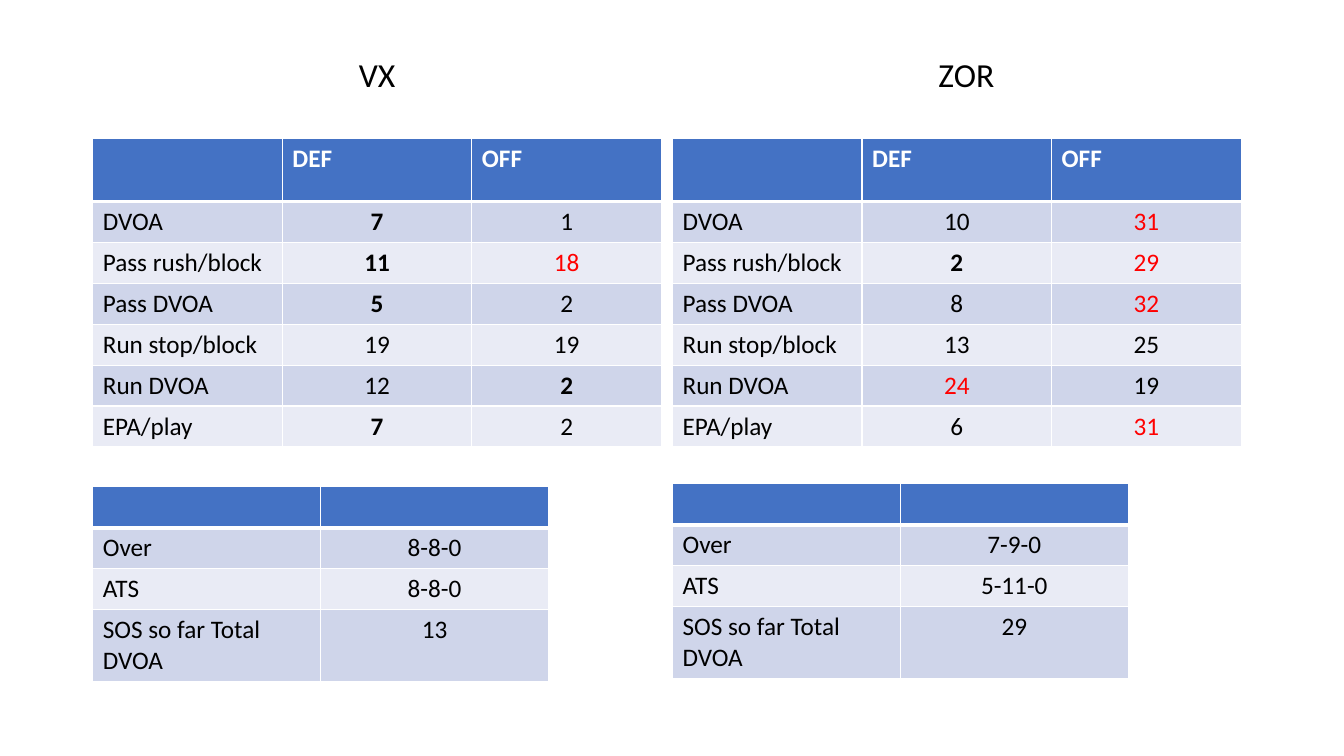
from lxml import etree
from pptx import Presentation
from pptx.dml.color import RGBColor
from pptx.enum.text import MSO_ANCHOR, PP_ALIGN
from pptx.oxml.ns import qn
from pptx.util import Inches, Pt

LEFT, CENTER = PP_ALIGN.LEFT, PP_ALIGN.CENTER
BOTTOM = MSO_ANCHOR.BOTTOM
FONT = "Calibri"
COLORS = {
    "text": "000000",
    "weak": "FF0000",
    "white": "FFFFFF",
    "header": "4472C4",
    "odd_row": "CFD5EA",
    "even_row": "E9EBF5",
}
RANK_HEADER = ["", "DEF", "OFF"]
RECORD_HEADER = ["", ""]
RANK_HEIGHTS = [0.63] + [0.4] * 6
RECORD_HEIGHTS = [0.4] * 3 + [0.7]


def strong(value):
    return value, {"bold": True}


def weak(value):
    return value, {"color": "weak"}


TEAMS = [
    {
        "name": "VX",
        "heading": (0.92, 0.09, 5.64, 0.9),
        "left": 0.92,
        "record_top": 4.83,
        "ranks": [
            ["DVOA", strong("7"), "1"],
            ["Pass rush/block", strong("11"), weak("18")],
            ["Pass DVOA", strong("5"), "2"],
            ["Run stop/block", "19", "19"],
            ["Run DVOA", "12", strong("2")],
            ["EPA/play", strong("7"), "2"],
        ],
        "record": [["Over", "8-8-0"], ["ATS", "8-8-0"], ["SOS so far Total DVOA", "13"]],
    },
    {
        "name": "ZOR",
        "heading": (6.75, 0.09, 5.67, 0.9),
        "left": 6.67,
        "record_top": 4.8,
        "ranks": [
            ["DVOA", "10", weak("31")],
            ["Pass rush/block", strong("2"), weak("29")],
            ["Pass DVOA", "8", weak("32")],
            ["Run stop/block", "13", "25"],
            ["Run DVOA", weak("24"), "19"],
            ["EPA/play", "6", weak("31")],
        ],
        "record": [["Over", "7-9-0"], ["ATS", "5-11-0"], ["SOS so far Total DVOA", "29"]],
    },
]


def write_text(frame, text, size=18, color="text", bold=False, align=LEFT):
    paragraph = frame.paragraphs[0]
    paragraph.alignment = align
    paragraph.font.size = Pt(size)
    if text:
        run = paragraph.add_run()
        run.text = text
        run.font.name = FONT
        run.font.size = Pt(size)
        run.font.bold = bold
        run.font.color.rgb = RGBColor.from_string(COLORS[color])
    return paragraph


def add_borders(cell, top=1, bottom=1):
    properties = cell._tc.get_or_add_tcPr()
    for side, width in (("L", 1), ("R", 1), ("T", top), ("B", bottom)):
        line = etree.SubElement(properties, qn(f"a:ln{side}"), w=str(Pt(width)))
        fill = etree.SubElement(line, qn("a:solidFill"))
        etree.SubElement(fill, qn("a:srgbClr"), val=COLORS["white"])


def fill_cell(cell, color):
    cell.fill.solid()
    cell.fill.fore_color.rgb = RGBColor.from_string(COLORS[color])


def add_stat_table(slide, left, top, column_width, heights, header, body):
    width = column_width * len(header)
    table = slide.shapes.add_table(
        len(heights), len(header),
        Inches(left), Inches(top), Inches(width), Inches(sum(heights)),
    ).table
    for column in table.columns:
        column.width = Inches(column_width)
    for row, height in zip(table.rows, heights):
        row.height = Inches(height)

    for index, label in enumerate(header):
        cell = table.cell(0, index)
        add_borders(cell, bottom=3)
        fill_cell(cell, "header")
        write_text(cell.text_frame, label, color="white", bold=True)

    for row_index, values in enumerate(body, 1):
        for column_index, value in enumerate(values):
            text, emphasis = value if isinstance(value, tuple) else (value, {})
            cell = table.cell(row_index, column_index)
            add_borders(cell, top=3 if row_index == 1 else 1)
            fill_cell(cell, "odd_row" if row_index % 2 else "even_row")
            align = CENTER if column_index else LEFT
            write_text(cell.text_frame, text, align=align, **emphasis)


def set_heading(placeholder, text, position):
    left, top, width, height = map(Inches, position)
    placeholder.left, placeholder.top = left, top
    placeholder.width, placeholder.height = width, height
    placeholder.text_frame.vertical_anchor = BOTTOM
    heading = write_text(placeholder.text_frame, text, size=24, align=CENTER)
    heading.line_spacing = 0.9
    heading.space_before = Pt(10)


def main():
    presentation = Presentation()
    presentation.slide_width = Inches(13.33)
    presentation.slide_height = Inches(7.5)
    slide = presentation.slides.add_slide(presentation.slide_layouts[4])
    headings = []
    for placeholder in list(slide.placeholders):
        if placeholder.placeholder_format.idx in (1, 3):
            headings.append(placeholder)
        else:
            placeholder.element.getparent().remove(placeholder.element)

    for heading, team in zip(headings, TEAMS):
        set_heading(heading, team["name"], team["heading"])
        add_stat_table(slide, team["left"], 1.37, 1.88,
                       RANK_HEIGHTS, RANK_HEADER, team["ranks"])
        add_stat_table(slide, team["left"], team["record_top"], 2.26,
                       RECORD_HEIGHTS, RECORD_HEADER, team["record"])
    presentation.save("out.pptx")


if __name__ == "__main__":
    main()
